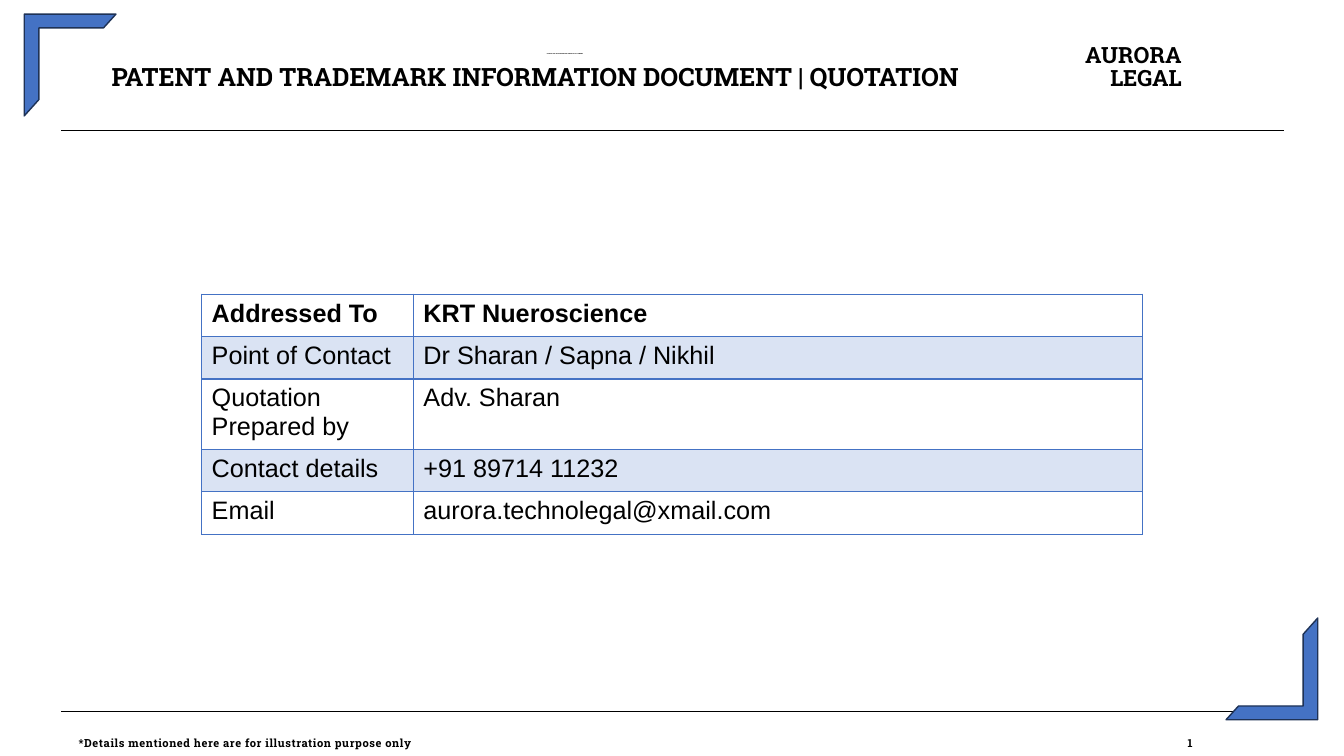
from lxml.etree import SubElement
from pptx import Presentation
from pptx.dml.color import RGBColor
from pptx.enum.shapes import MSO_CONNECTOR as Connector, MSO_SHAPE as Shape
from pptx.enum.text import MSO_ANCHOR as Anchor, PP_ALIGN as Align
from pptx.oxml import parse_xml
from pptx.oxml.ns import nsdecls, qn
from pptx.util import Inches, Pt

BLACK = RGBColor(0x00, 0x00, 0x00)
BLUE = RGBColor(0x44, 0x72, 0xC4)
NAVY = RGBColor(0x1E, 0x32, 0x56)
BAND = RGBColor(0xDA, 0xE3, 0xF3)


def write(para, text, size=18, font="Roboto Slab", bold=True, align=Align.LEFT, leading=None, tracking=0):
    para.alignment = align
    if leading:
        para.line_spacing = leading
    span = para.add_run()
    span.text = text
    span.font.size = Pt(size)
    span.font.name = font
    span.font.bold = bold
    span.font.color.rgb = BLACK
    if tracking:
        span.font._element.set("spc", str(round(tracking * 100)))


deck = Presentation()
deck.slide_width, deck.slide_height = Inches(13.33), Inches(7.5)
page = deck.slides.add_slide(deck.slide_layouts[5])

for y in (1.29, 7.06):
    rule = page.shapes.add_connector(Connector.STRAIGHT, Inches(0.61), Inches(y), Inches(12.73), Inches(y))
    rule.line.color.rgb = BLACK
    rule.line.width = Pt(0.48)
    SubElement(rule._element.spPr, qn("a:effectLst"))

for left, top, turn in ((0.24, 0.14, 0), (12.16, 6.13, 180)):
    corner = page.shapes.add_shape(Shape.HALF_FRAME, Inches(left), Inches(top), Inches(0.91), Inches(1.01))
    corner.adjustments[0], corner.adjustments[1] = 0.15, 0.16
    corner.rotation = turn
    corner.shadow.inherit = False
    corner.fill.solid()
    corner.fill.fore_color.rgb = BLUE
    corner.line.color.rgb = NAVY
    corner.line.width = Pt(1)

title = page.shapes.title
title.left, title.top, title.width, title.height = (Inches(n) for n in (0.43, 0.34, 9.76, 0.88))
title.text_frame.vertical_anchor = Anchor.MIDDLE
write(title.text_frame.paragraphs[0], "PATENT AND TRADEMARK INFORMATION DOCUMENT | QUOTATION",
      align=Align.CENTER, leading=0.82)

frames = []
for left, top, width, height, anchor in (
    (0.65, 0.53, 9.91, 0.35, Anchor.TOP),
    (10.63, 0.44, 1.2, 0.43, Anchor.TOP),
    (0.78, 7.2, 11.92, 0.24, Anchor.BOTTOM),
):
    box = page.shapes.add_textbox(Inches(left), Inches(top), Inches(width), Inches(height))
    frame = box.text_frame
    frame.word_wrap = True
    frame.vertical_anchor = anchor
    frame.margin_left = frame.margin_top = frame.margin_right = frame.margin_bottom = 0
    frames.append(frame)
caption, wordmark, footer = frames

write(caption.paragraphs[0], "PATENT AND TRADEMARK INFORMATION DOCUMENT", size=1, align=Align.CENTER, leading=0.82)

upper, lower = wordmark.paragraphs[0], wordmark.add_paragraph()
upper._p.get_or_add_pPr().set("marR", str(Inches(0.11)))
write(upper, "AURORA", size=16, align=Align.RIGHT, leading=0.87, tracking=0.1)
write(lower, "LEGAL", size=16, align=Align.RIGHT, leading=0.87, tracking=-0.1)

note = footer.paragraphs[0]
stops = SubElement(note._p.get_or_add_pPr(), qn("a:tabLst"))
SubElement(stops, qn("a:tab"), pos=str(Inches(11)), algn="l")
write(note, "*Details mentioned here are for illustration purpose only\t1", size=8, leading=0.84, tracking=0.4)

contacts = (
    ("Addressed To", "KRT Nueroscience"),
    ("Point of Contact", "Dr Sharan / Sapna / Nikhil"),
    ("Quotation Prepared by", "Adv. Sharan"),
    ("Contact details", "+91 89714 11232"),
    ("Email", "aurora.technolegal@xmail.com"),
)
table = page.shapes.add_table(len(contacts), 2, Inches(2), Inches(2.92), Inches(9.33), Inches(2.35)).table
table.first_row = table.horz_banding = False
table.columns[0].width, table.columns[1].width = Inches(2.1), Inches(7.23)

for r, entry in enumerate(contacts):
    table.rows[r].height = Inches(0.67 if r == 2 else 0.42)
    for c, text in enumerate(entry):
        cell = table.cell(r, c)
        for side in "LRTB":
            cell._tc.get_or_add_tcPr().append(parse_xml(
                f'<a:ln{side} {nsdecls("a")} w="{Pt(1)}"><a:solidFill>'
                f'<a:srgbClr val="{BLUE}"/></a:solidFill></a:ln{side}>'))
        if r % 2:
            cell.fill.solid()
            cell.fill.fore_color.rgb = BAND
        else:
            cell.fill.background()
        write(cell.text_frame.paragraphs[0], text, font="Arial", bold=r == 0)

deck.save("out.pptx")
